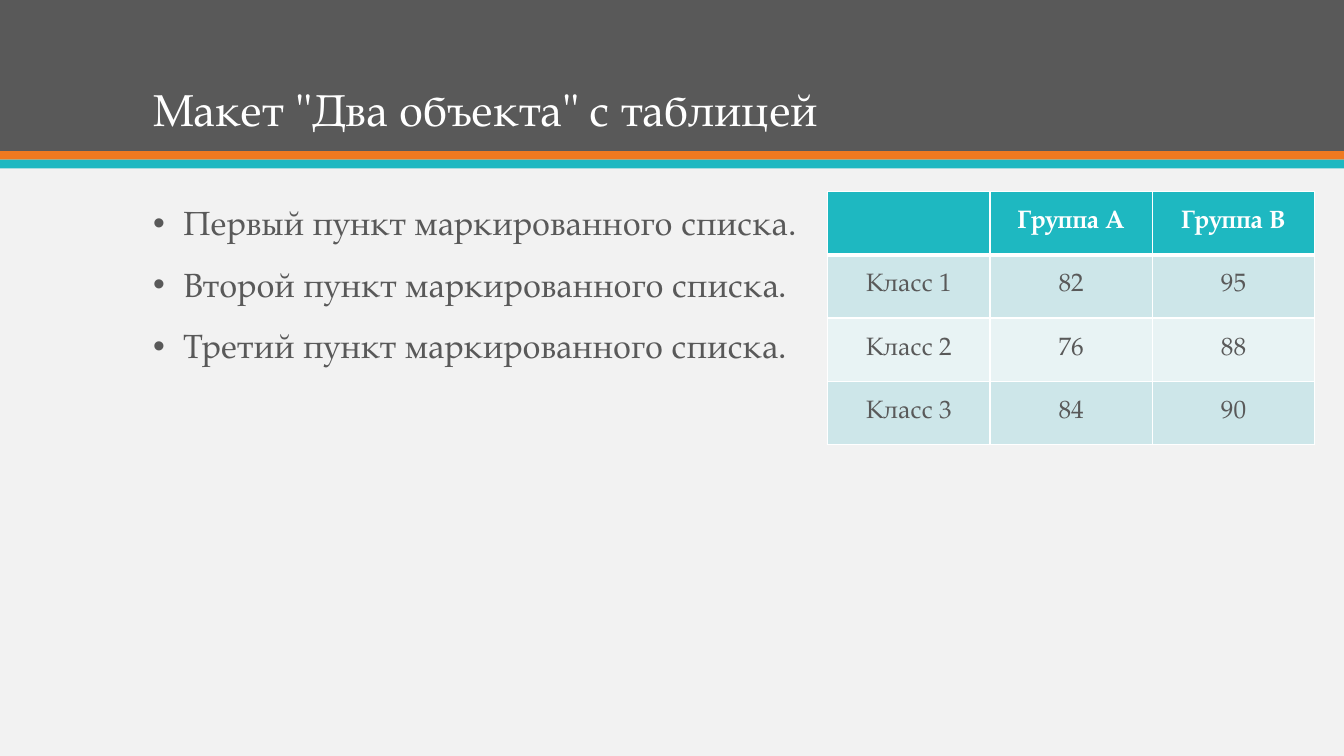
from dataclasses import dataclass

from lxml import etree
from pptx import Presentation
from pptx.dml.color import RGBColor
from pptx.enum.shapes import MSO_SHAPE
from pptx.enum.text import MSO_ANCHOR, PP_ALIGN
from pptx.oxml.ns import qn
from pptx.util import Inches, Pt

RECTANGLE = MSO_SHAPE.RECTANGLE
BOTTOM, MIDDLE, TOP = MSO_ANCHOR.BOTTOM, MSO_ANCHOR.MIDDLE, MSO_ANCHOR.TOP
CENTER, LEFT = PP_ALIGN.CENTER, PP_ALIGN.LEFT


@dataclass(frozen=True)
class Theme:
    font: str = "TeX Gyre Pagella"
    background: str = "F2F2F2"
    dark: str = "595959"
    orange: str = "EF7920"
    teal: str = "1EB8C1"
    white: str = "FFFFFF"
    row_tints: tuple = ("CDE6E9", "E8F3F4")
    title_size: int = 32
    body_size: int = 24
    table_size: int = 18
    rule: int = 1
    header_rule: int = 3


THEME = Theme()
WIDTH, HEIGHT = 13.33, 7.5
MARGIN, CONTENT_WIDTH = 1.42, 10.5
BAND_HEIGHT = HEIGHT / 5
STRIPE_HEIGHT = 0.085
BULLET_INDENT = 0.3

TITLE = 'Макет "Два объекта" с таблицей'
POINTS = [
    "Первый пункт маркированного списка.",
    "Второй пункт маркированного списка.",
    "Третий пункт маркированного списка.",
]
SCORES = [
    ["", "Группа A", "Группа B"],
    ["Класс 1", "82", "95"],
    ["Класс 2", "76", "88"],
    ["Класс 3", "84", "90"],
]


def color(value):
    return RGBColor.from_string(value)


def inches(box):
    return [Inches(length) for length in box]


def write_text(paragraph, text, *, size, fill, bold=False, align=LEFT,
               line_spacing=None, space_before=None):
    paragraph.alignment = align
    paragraph.line_spacing = line_spacing
    paragraph.space_before = space_before
    if not text:
        return
    run = paragraph.add_run()
    run.text = text
    run.font.name = THEME.font
    run.font.size = Pt(size)
    run.font.bold = bold
    run.font.color.rgb = color(fill)


def add_bullet(paragraph):
    properties = paragraph._p.get_or_add_pPr()
    properties.set("marL", str(Inches(BULLET_INDENT)))
    properties.set("indent", str(-Inches(BULLET_INDENT)))
    bullet_color = etree.SubElement(properties, qn("a:buClr"))
    etree.SubElement(bullet_color, qn("a:srgbClr"), val=THEME.dark)
    etree.SubElement(properties, qn("a:buFont"), typeface="Arial")
    etree.SubElement(properties, qn("a:buChar"), char="•")


def add_text_frame(slide, box, anchor):
    frame = slide.shapes.add_textbox(*inches(box)).text_frame
    frame.word_wrap = True
    frame.vertical_anchor = anchor
    return frame


def add_bar(slide, box, fill):
    shape = slide.shapes.add_shape(RECTANGLE, *inches(box))
    shape.shadow.inherit = False
    shape.fill.solid()
    shape.fill.fore_color.rgb = color(fill)
    shape.line.fill.background()


def add_header(slide, box):
    left, top, width, height = box
    add_bar(slide, box, THEME.dark)
    for index, fill in enumerate((THEME.orange, THEME.teal)):
        stripe_top = top + height + index * STRIPE_HEIGHT
        add_bar(slide, (left, stripe_top, width, STRIPE_HEIGHT), fill)
    title_box = (left + MARGIN, top + 0.28, CONTENT_WIDTH, height * 0.75)
    frame = add_text_frame(slide, title_box, BOTTOM)
    write_text(frame.paragraphs[0], TITLE, size=THEME.title_size,
               fill=THEME.white, line_spacing=0.9)


def add_bullet_list(slide, box):
    frame = add_text_frame(slide, box, TOP)
    for index, point in enumerate(POINTS):
        paragraph = frame.add_paragraph() if index else frame.paragraphs[0]
        write_text(paragraph, point, size=THEME.body_size, fill=THEME.dark,
                   line_spacing=0.9, space_before=Pt(18))
        add_bullet(paragraph)


def set_borders(cell, top, bottom):
    properties = cell._tc.get_or_add_tcPr()
    widths = {"lnL": THEME.rule, "lnR": THEME.rule, "lnT": top, "lnB": bottom}
    for side, width in widths.items():
        line = etree.SubElement(properties, qn(f"a:{side}"), w=str(Pt(width)))
        fill = etree.SubElement(line, qn("a:solidFill"))
        etree.SubElement(fill, qn("a:srgbClr"), val=THEME.white)


def format_cell(cell, text, row):
    header = row == 0
    set_borders(cell,
                top=THEME.header_rule if row == 1 else THEME.rule,
                bottom=THEME.header_rule if header else THEME.rule)
    cell.fill.solid()
    cell.fill.fore_color.rgb = color(
        THEME.teal if header else THEME.row_tints[(row - 1) % 2])
    cell.vertical_anchor = MIDDLE
    write_text(cell.text_frame.paragraphs[0], text, size=THEME.table_size,
               fill=THEME.white if header else THEME.dark, bold=header,
               align=CENTER)


def add_score_table(slide, box):
    row_count, column_count = len(SCORES), len(SCORES[0])
    table = slide.shapes.add_table(row_count, column_count, *inches(box)).table
    for row, values in enumerate(SCORES):
        for column, text in enumerate(values):
            format_cell(table.cell(row, column), text, row)


def main():
    presentation = Presentation()
    presentation.slide_width = Inches(WIDTH)
    presentation.slide_height = Inches(HEIGHT)
    slide = presentation.slides.add_slide(presentation.slide_layouts[6])
    slide.background.fill.solid()
    slide.background.fill.fore_color.rgb = color(THEME.background)
    add_header(slide, (0, 0, WIDTH, BAND_HEIGHT))
    add_bullet_list(slide, (MARGIN, 2, CONTENT_WIDTH, 4.75))
    add_score_table(slide, (8.21, 1.9, 4.83, 2.51))
    presentation.save("out.pptx")


if __name__ == "__main__":
    main()
